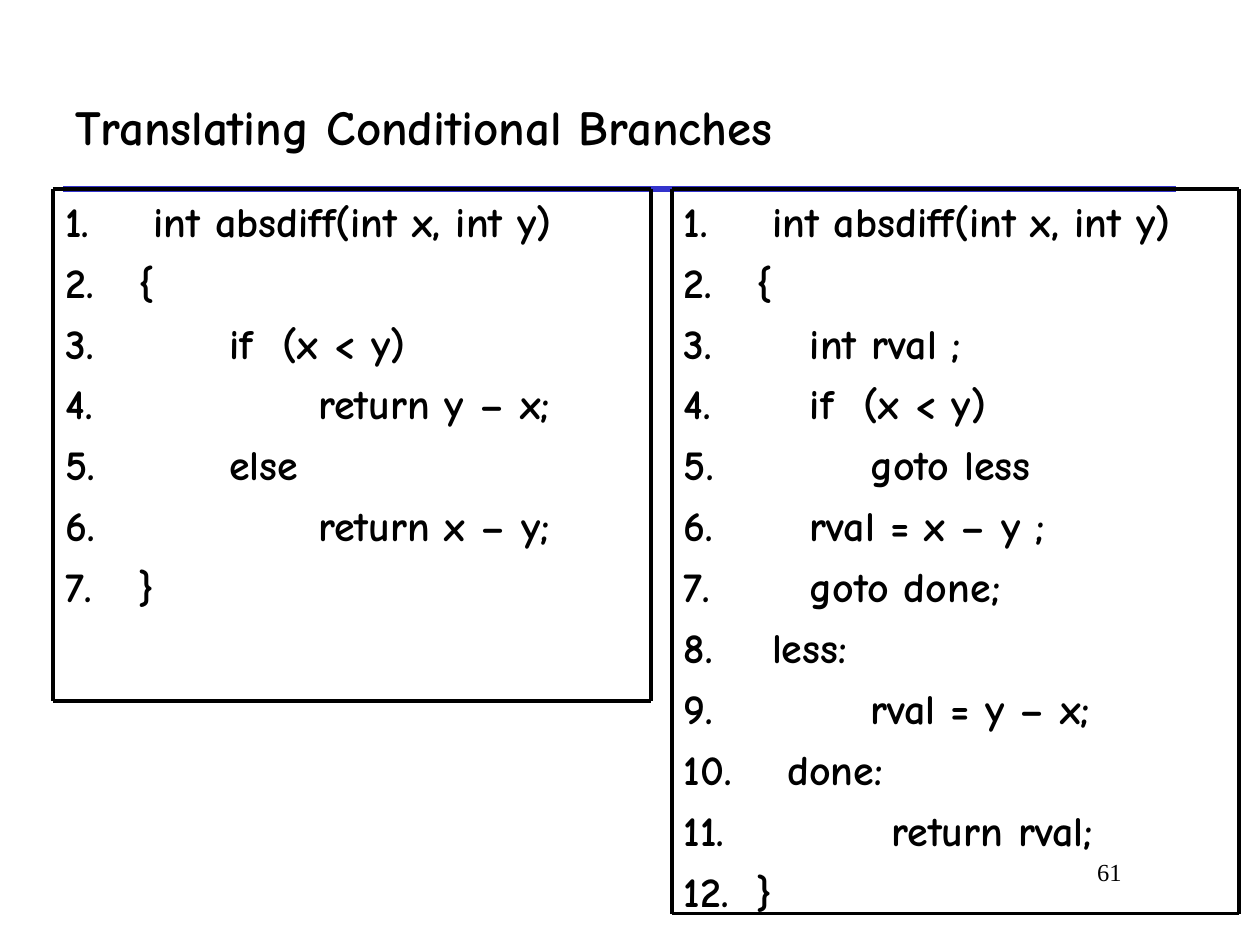
from dataclasses import dataclass

from lxml.etree import SubElement
from pptx import Presentation
from pptx.dml.color import RGBColor
from pptx.enum.shapes import MSO_CONNECTOR as Connector
from pptx.enum.text import MSO_ANCHOR as Anchor, PP_ALIGN as Align
from pptx.oxml.ns import qn
from pptx.util import Inches, Pt


@dataclass(frozen=True)
class Theme:
    ink: str = "000000"
    rule: str = "3333CC"
    main_font: str = "Comic Neue"
    number_font: str = "Times New Roman"
    title_size: float = 28
    code_size: float = 24
    number_size: float = 14
    rule_width: float = 3
    frame_width: float = 2.25
    code_gap: float = 6


class SlideBuilder:
    def __init__(self, page, theme):
        self.page = page
        self.theme = theme

    def line(self, start, end, color, width):
        points = [Inches(value) for value in (*start, *end)]
        line = self.page.shapes.add_connector(Connector.STRAIGHT, *points)
        line.line.color.rgb = RGBColor.from_string(color)
        line.line.width = Pt(width)
        SubElement(line._element.spPr, qn("a:effectLst"))

    def box(self, left, top, width, height, anchor=Anchor.TOP):
        area = [Inches(value) for value in (left, top, width, height)]
        frame = self.page.shapes.add_textbox(*area).text_frame
        frame.word_wrap = True
        frame.vertical_anchor = anchor
        return frame

    def span(self, para, text, size, font, bold=False):
        span = para.add_run()
        span.text = text
        span.font.size = Pt(size)
        span.font.name = font
        span.font.bold = bold
        span.font.color.rgb = RGBColor.from_string(self.theme.ink)

    def title(self, text, *area):
        para = self.box(*area, anchor=Anchor.MIDDLE).paragraphs[0]
        self.span(para, text, self.theme.title_size, self.theme.main_font, True)

    def page_number(self, text, *area):
        para = self.box(*area).paragraphs[0]
        para.alignment = Align.RIGHT
        self.span(para, text, self.theme.number_size, self.theme.number_font)

    def number_line(self, para, indent):
        """Number a line at the left edge and start its text at the indent."""
        props = para._p.get_or_add_pPr()
        props.set("marL", str(Inches(indent)))
        props.set("indent", str(-Inches(indent)))
        color = SubElement(props, qn("a:buClr"))
        SubElement(color, qn("a:srgbClr"), val=self.theme.ink)
        SubElement(props, qn("a:buFont"), typeface=self.theme.main_font)
        SubElement(props, qn("a:buAutoNum"), type="arabicPeriod")

    def code_panel(self, lines, left, top, width, height):
        frame = self.box(left, top, width, height)
        for index, (indent, text) in enumerate(lines):
            para = frame.add_paragraph() if index else frame.paragraphs[0]
            para.space_before = Pt(self.theme.code_gap)
            self.number_line(para, indent)
            self.span(para, text, self.theme.code_size, self.theme.main_font, True)

        # Frame, one line for each side
        right, bottom = left + width, top + height
        sides = [
            ((left, top), (right, top)),
            ((left, bottom), (right, bottom)),
            ((left, top), (left, bottom)),
            ((right, top), (right, bottom)),
        ]
        for start, end in sides:
            self.line(start, end, self.theme.ink, self.theme.frame_width)


# Each code line: text indent in inches, wording
C_CODE = [
    (0.7, "int absdiff(int x, int y)"),
    (0.58, "{"),
    (1.3, "if  (x < y)"),
    (2.01, "return y – x;"),
    (1.3, "else"),
    (2.01, "return x – y;"),
    (0.58, "}"),
]
GOTO_CODE = [
    (0.7, "int absdiff(int x, int y)"),
    (0.58, "{"),
    (1, "int rval ;"),
    (1, "if  (x < y)"),
    (1.48, "goto less"),
    (1, "rval = x – y ;"),
    (1, "goto done;"),
    (0.7, "less:"),
    (1.48, "rval = y – x;"),
    (0.82, "done:"),
    (1.65, "return rval;"),
    (0.58, "}"),
]


def main():
    deck = Presentation()
    deck.slide_width, deck.slide_height = Inches(10), Inches(7.5)
    theme = Theme()
    slide = SlideBuilder(deck.slides.add_slide(deck.slide_layouts[6]), theme)

    # Heading rule, page number and title
    slide.line((0.5, 1.5), (9.33, 1.5), theme.rule, theme.rule_width)
    slide.page_number("61", 7.58, 6.75, 1.42, 0.5)
    slide.title("Translating Conditional Branches", 0.5, 0.5, 8.83, 1)

    # Code panels
    slide.code_panel(C_CODE, 0.42, 1.5, 4.75, 4.06)
    slide.code_panel(GOTO_CODE, 5.33, 1.5, 4.5, 5.75)

    deck.save("out.pptx")


if __name__ == "__main__":
    main()
